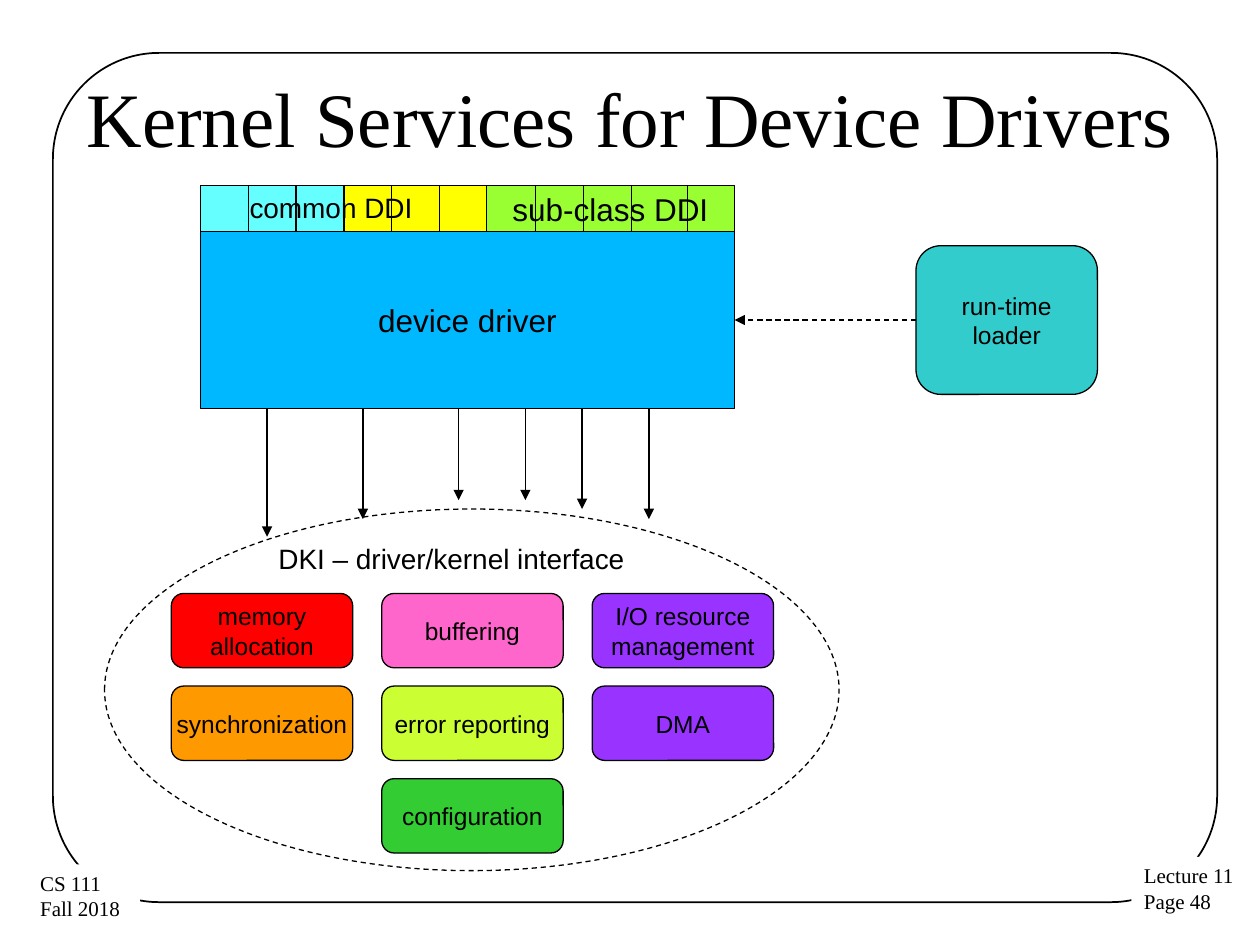
"""Build the slide on kernel services for device drivers."""
from lxml import etree
from pptx import Presentation
from pptx.dml.color import RGBColor
from pptx.enum.dml import MSO_LINE as Dash
from pptx.enum.shapes import MSO_CONNECTOR as Conn, MSO_SHAPE as Kind
from pptx.enum.text import MSO_ANCHOR as Anchor, PP_ALIGN as Align
from pptx.oxml.ns import qn
from pptx.util import Inches, Pt

HEX = {
    "black": "000000", "white": "FFFFFF", "yellow": "FFFF00", "cyan": "66FFFF",
    "lime": "99FF33", "blue": "00B8FF", "red": "FF0000", "orange": "FF9900",
    "citrus": "CCFF33", "teal": "33CCCC", "violet": "9933FF", "pink": "FF66CC",
    "green": "33CC33",
}
TITLE = "Kernel Services for Device Drivers"
NOTES = [
    ("Lecture 11\nPage 48", (8.98, 6.8, 0.92, 0.51)),
    ("CS 111\nFall 2018", (0.22, 6.86, 0.89, 0.51)),
]
LEFT, TOP, BASE, FOOT = 1.59, 1.47, 1.84, 3.24
WIDE, STEP = 4.24, 0.38
BANDS = [("", "cyan", 0, 1.14), ("", "yellow", 1.14, 1.13), ("sub-class DDI", "lime", 2.27, 1.97)]
TICKS = [1, 2, 3, 4, 5, 7, 8, 9, 10.17]
CALLS = [(2.12, 4.26), (2.88, 4.12), (3.64, 3.97), (4.17, 3.97), (4.62, 4.04), (5.15, 4.12)]
GRID = [
    [("memory\nallocation", "red"), ("buffering", "pink"), ("I/O resource\nmanagement", "violet")],
    [("synchronization", "orange"), ("error reporting", "citrus"), ("DMA", "violet")],
    [None, ("configuration", "green"), None],
]
LABELS = [("common DDI", (1.89, TOP, 1.59, 0.36)),
          ("DKI – driver/kernel interface", (2.12, 4.26, 3.26, 0.36))]

deck = Presentation()
deck.slide_width, deck.slide_height = Inches(10), Inches(7.5)
slide = deck.slides.add_slide(deck.slide_layouts[5])
parts = slide.shapes


def color(name):
    return RGBColor.from_string(HEX[name])


def write(shape, text, size, font="Arial", align=Align.CENTER, wrap=False,
          anchor=Anchor.MIDDLE, pad=(0.09, 0.04)):
    frame = shape.text_frame
    frame.text = text
    frame.word_wrap, frame.vertical_anchor = wrap, anchor
    frame.margin_left = frame.margin_right = Inches(pad[0])
    frame.margin_top = frame.margin_bottom = Inches(pad[1])
    for para in frame.paragraphs:
        para.alignment = align
        for run in para.runs:
            run.font.size, run.font.name = Pt(size), font
            run.font.color.rgb = color("black")


def stroke(item, width=0.75, dash=False):
    item.line.color.rgb = color("black")
    item.line.width = Pt(width)
    if dash:
        item.line.dash_style = Dash.DASH


def block(kind, spot, fill=None, text="", size=14, width=0.75, dash=False, round=None):
    shape = parts.add_shape(kind, *map(Inches, spot))
    shape.shadow.inherit = False
    if round:
        shape.adjustments[0] = round
    if fill:
        shape.fill.solid()
        shape.fill.fore_color.rgb = color(fill)
    else:
        shape.fill.background()
    if width:
        stroke(shape, width, dash)
    else:
        shape.line.fill.background()
    if text:
        write(shape, text, size)
    return shape


def link(x1, y1, x2, y2, arrow=False, dash=False):
    line = parts.add_connector(Conn.STRAIGHT, *map(Inches, (x1, y1, x2, y2)))
    stroke(line, dash=dash)
    props = line._element.spPr
    if arrow:
        etree.SubElement(props.find(qn("a:ln")), qn("a:tailEnd"), type="triangle")
    etree.SubElement(props, qn("a:effectLst"))


def label(text, spot):
    box = parts.add_textbox(*map(Inches, spot))
    write(box, text, 16, align=Align.LEFT, wrap=True, anchor=Anchor.TOP)


block(Kind.ROUNDED_RECTANGLE, (0.42, 0.42, 9.24, 6.74), width=1, round=0.125)
for text, spot in NOTES:
    note = block(Kind.RECTANGLE, spot, "white", width=0)
    write(note, text, 12, "Times New Roman", Align.LEFT, anchor=Anchor.TOP, pad=(0.1, 0.05))

title = parts.title
title.left, title.top, title.width, title.height = map(Inches, (0.5, 0.3, 9, 1.25))
write(title, TITLE, 44, "Times New Roman", wrap=True, pad=(0.1, 0.05))

for text, fill, x, w in BANDS:
    block(Kind.RECTANGLE, (LEFT + x, TOP, w, BASE - TOP), fill, text, 18)
block(Kind.RECTANGLE, (LEFT, BASE, WIDE, FOOT - BASE), "blue", "device driver", 18)
for tick in TICKS:
    x = LEFT + tick * STEP
    link(x, TOP, x, BASE)

block(Kind.ROUNDED_RECTANGLE, (7.27, 1.95, 1.44, 1.18), "teal", "run-time\nloader", round=0.167)
link(7.27, 2.54, LEFT + WIDE, 2.54, arrow=True, dash=True)
block(Kind.OVAL, (0.83, 4.04, 5.83, 2.87), dash=True)
for r, row in enumerate(GRID):
    for c, cell in enumerate(row):
        if cell:
            text, fill = cell
            spot = (1.36 + c * 1.67, 4.71 + r * 0.735, 1.44, 0.59)
            block(Kind.ROUNDED_RECTANGLE, spot, fill, text, round=0.167)
for text, spot in LABELS:
    label(text, spot)
for x, end in CALLS:
    link(x, FOOT, x, end, arrow=True)

deck.save("out.pptx")
